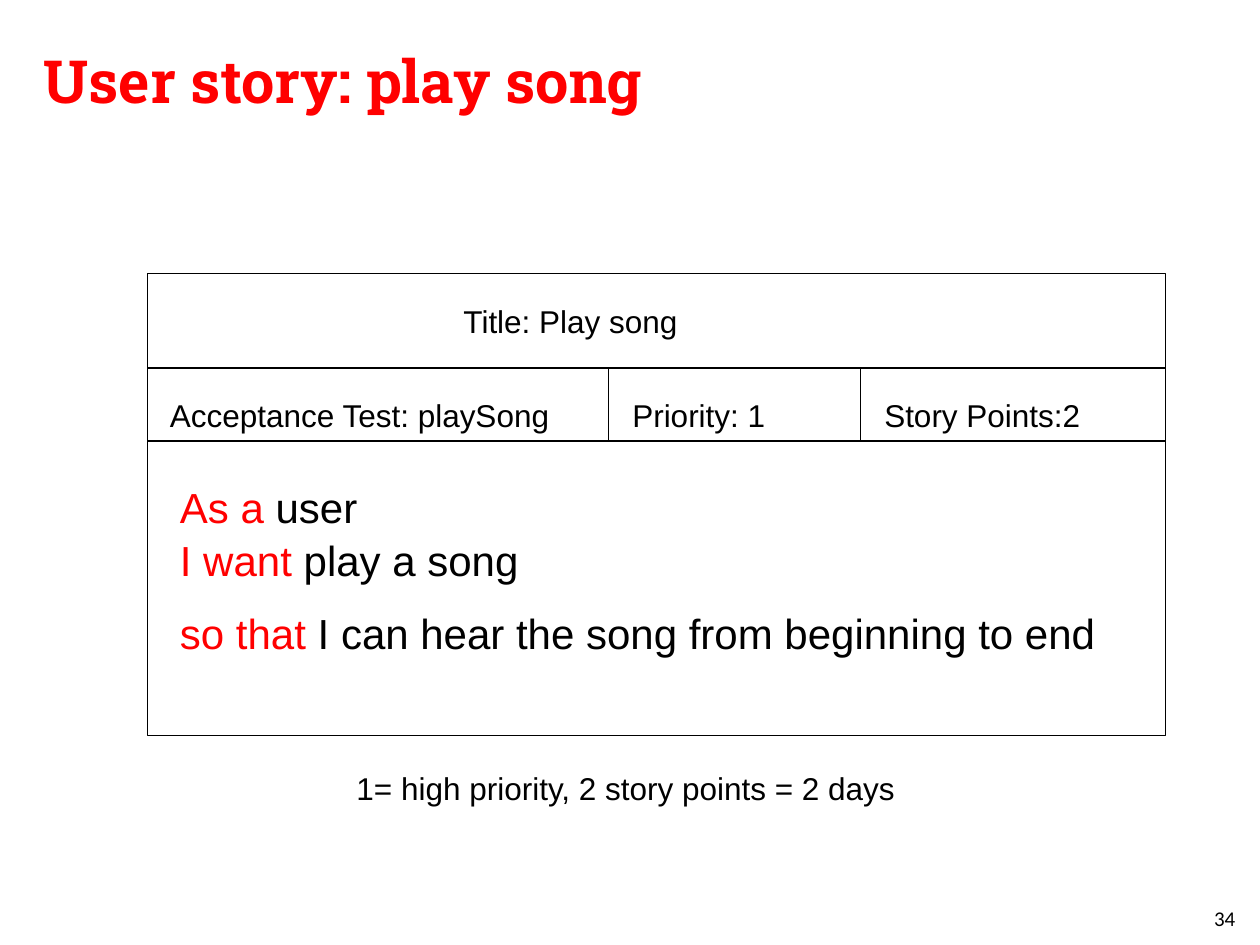
from lxml.etree import SubElement
from pptx import Presentation
from pptx.dml.color import RGBColor
from pptx.enum.shapes import MSO_CONNECTOR, MSO_SHAPE
from pptx.enum.text import PP_ALIGN
from pptx.oxml.ns import qn
from pptx.util import Inches, Pt

COLORS = {"black": "000000", "red": "FF0000", "white": "FFFFFF"}

deck = Presentation()
deck.slide_width, deck.slide_height = Inches(10), Inches(7.5)
page = deck.slides.add_slide(deck.slide_layouts[6])


def add_text(paragraphs, left, top, width, height, size=18, font="Arial",
             bold=False, align=PP_ALIGN.LEFT, line_spacing=1.05):
    """Each paragraph is a list of (text, color) spans; "\\n" is a line break."""
    box = page.shapes.add_textbox(Inches(left), Inches(top), Inches(width), Inches(height))
    frame = box.text_frame
    frame.word_wrap = True
    for index, spans in enumerate(paragraphs):
        para = frame.add_paragraph() if index else frame.paragraphs[0]
        para.alignment = align
        para.line_spacing = line_spacing
        para.space_before = Pt(size / 2 if index else 0)
        for text, color in spans:
            if text == "\n":
                para.add_line_break()
                continue
            span = para.add_run()
            span.text = text
            span.font.size = Pt(size)
            span.font.name = font
            span.font.bold = bold
            span.font.color.rgb = RGBColor.from_string(COLORS[color])


add_text([[("User story: play song", "red")]], 0.25, 0.3, 8.67, 1.25,
         size=34, font="Roboto Slab", bold=True, line_spacing=1.0)
add_text([[("34", "black")]], 9.52, 7.14, 0.4, 0.24,
         size=12, font="Calibri", align=PP_ALIGN.CENTER, line_spacing=1.0)

# Story card with its dividers
left, right, top, bottom = 1.17, 9.25, 2.17, 5.84
row_top, row_bottom = 2.92, 3.5
card = page.shapes.add_shape(MSO_SHAPE.RECTANGLE, Inches(left), Inches(top),
                             Inches(right - left), Inches(bottom - top))
card.shadow.inherit = False
card.fill.solid()
card.fill.fore_color.rgb = RGBColor.from_string(COLORS["white"])
card.line.color.rgb = RGBColor.from_string(COLORS["black"])
card.line.width = Pt(0.75)

dividers = [(left, y, right, y) for y in (row_top, row_bottom)]
dividers += [(x, row_top, x, row_bottom) for x in (4.83, 6.83)]
for ends in dividers:
    divider = page.shapes.add_connector(MSO_CONNECTOR.STRAIGHT, *map(Inches, ends))
    divider.line.color.rgb = RGBColor.from_string(COLORS["black"])
    divider.line.width = Pt(0.75)
    SubElement(divider.element.spPr, qn("a:effectLst"))

labels = [
    ("Title: Play song", 3.58, 2.33, 3.75),
    ("Acceptance Test: playSong", 1.25, 3.08, 4),
    ("Priority: 1", 4.92, 3.08, 1.33),
    ("Story Points:2", 6.92, 3.08, 1.83),
    ("1= high priority, 2 story points = 2 days", 2.73, 6.04, 4.75),
]
for text, x, y, width in labels:
    add_text([[(text, "black")]], x, y, width, 0.4)

story = [
    [("As a ", "red"), ("user", "black"), ("\n", "black"),
     ("I want ", "red"), ("play a song", "black")],
    [("so that ", "red"), ("I can hear the song from beginning to end", "black")],
]
add_text(story, 1.33, 3.75, 7.75, 1.51, size=24)

deck.save("out.pptx")
